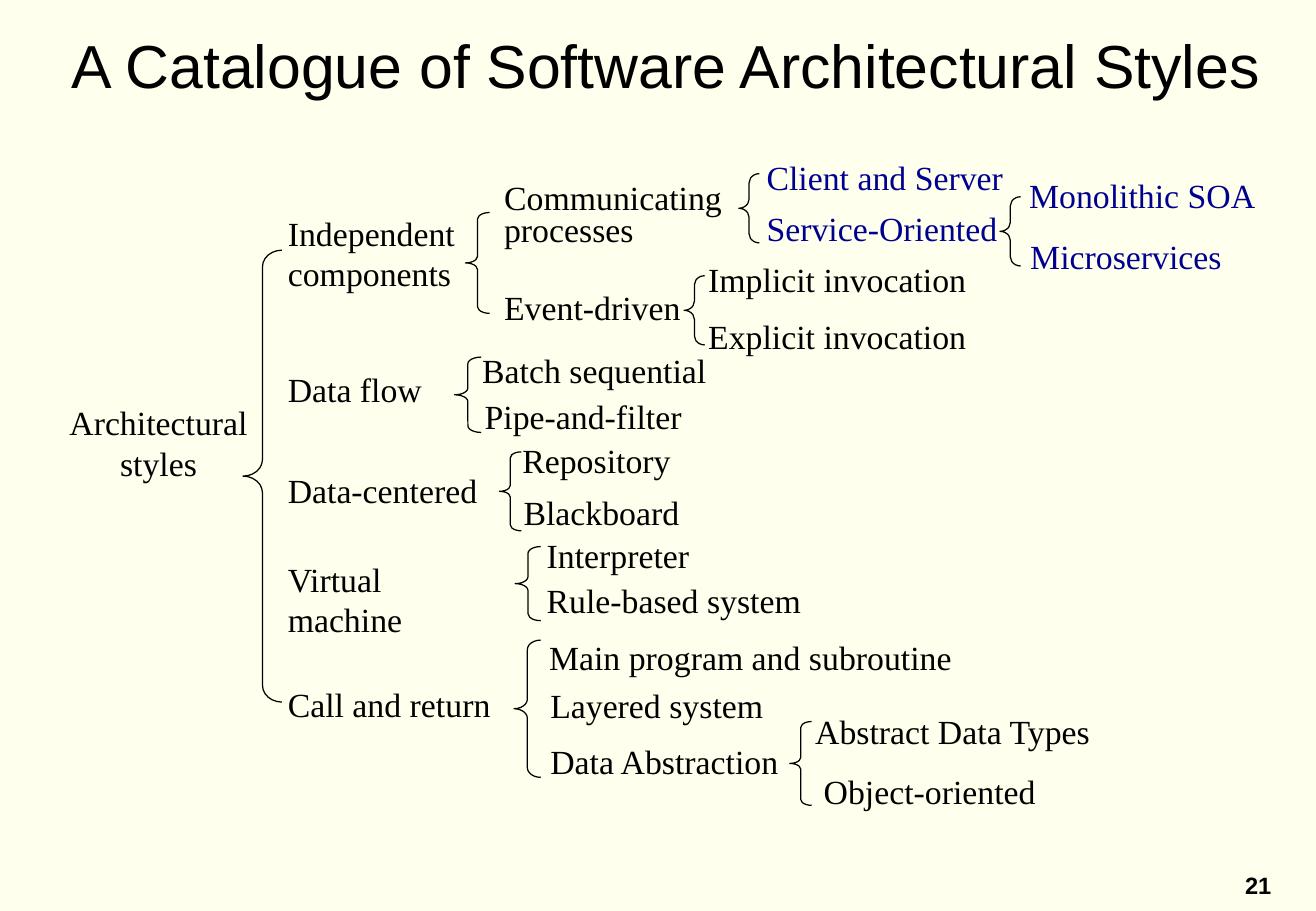
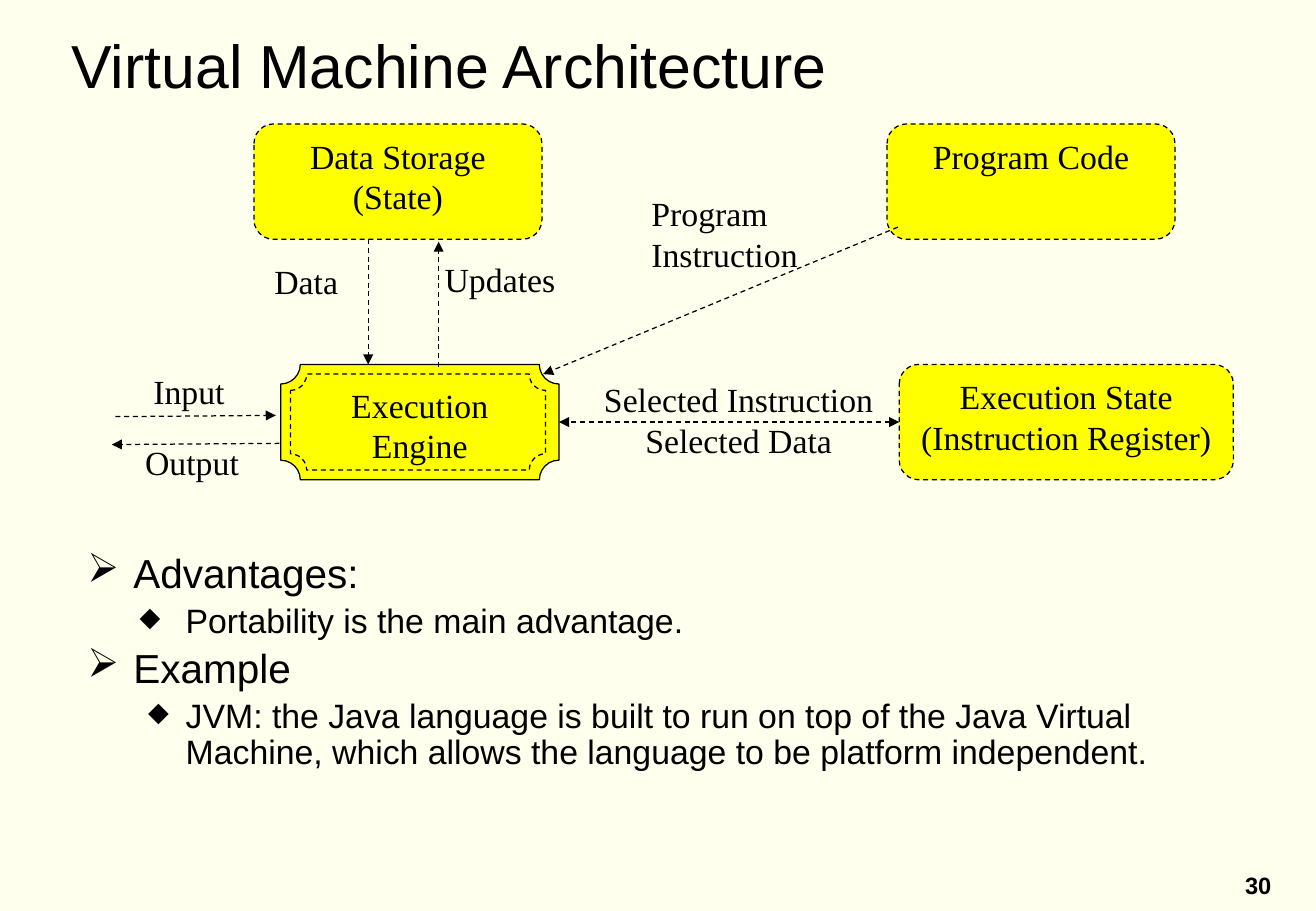
from lxml.etree import SubElement
from pptx import Presentation
from pptx.dml.color import RGBColor
from pptx.enum.dml import MSO_LINE
from pptx.enum.shapes import MSO_CONNECTOR, MSO_SHAPE
from pptx.enum.text import MSO_ANCHOR, PP_ALIGN
from pptx.oxml.ns import qn
from pptx.util import Pt

PX = 9144  # 100 px to the inch
SANS, SERIF = "Arial", "Times New Roman"
BLACK, NAVY, CREAM, YELLOW = "000000", "000090", "FFFFED", "FFFF00"
LEFT, MID = PP_ALIGN.LEFT, PP_ALIGN.CENTER

# Each branch: brace (x, y, w, h, curve), ink, labels (text, x, y, w)
TREE = [
    ((200, 206, 32, 372, 0.43), BLACK, [
        ("Independent components", 227, 170, 182),
        ("Data flow", 227, 299, 146),
        ("Data-centered", 227, 382, 183),
        ("Virtual machine", 227, 455, 190),
        ("Call and return", 227, 558, 188)]),
    ((383, 175, 20, 83, 0.27), BLACK, [
        ("Communicating processes", 405, 147, 219),
        ("Event-driven", 405, 231, 171)]),
    ((374, 294, 22, 62, 0.25), BLACK, [
        ("Batch sequential", 387, 283, 253),
        ("Pipe-and-filter", 389, 321, 215)]),
    ((411, 372, 18, 65, 0.27), BLACK, [
        ("Repository", 420, 357, 215),
        ("Blackboard", 421, 400, 215)]),
    ((424, 450, 21, 61, 0.27), BLACK, [
        ("Interpreter", 440, 435, 215),
        ("Rule-based system", 440, 472, 288)]),
    ((423, 527, 22, 113, 0.36), BLACK, [
        ("Main program and subroutine", 442, 519, 449),
        ("Layered system", 443, 559, 259),
        ("Data Abstraction", 443, 605, 259)]),
    ((563, 227, 17, 57, 0.44), BLACK, [
        ("Implicit invocation", 573, 208, 247),
        ("Explicit invocation", 573, 255, 247)]),
    ((608, 143, 17, 57, 0.44), NAVY, [
        ("Client and Server", 621, 124, 222),
        ("Service-Oriented", 621, 166, 222)]),
    ((823, 162, 17, 57, 0.44), NAVY, [
        ("Monolithic SOA", 837, 139, 222),
        ("Microservices", 838, 189, 232)]),
    ((650, 594, 18, 69, 0.27), BLACK, [
        ("Abstract Data Types", 661, 580, 259),
        ("Object-oriented", 668, 630, 238)]),
]

# Text, level, hanging indent
POINTS = [
    ("Advantages:", 0, 38),
    ("Portability is the main advantage.", 1, 38),
    ("Example", 0, 38),
    ("JVM: the Java language is built to run on top of the Java Virtual "
     "Machine, which allows the language to be platform independent.", 1, 31),
]


def px(*nums):
    return [n * PX for n in nums]


def color(code):
    return RGBColor.from_string(code)


def add_run(par, text, size=20, font=SERIF, ink=BLACK, bold=False):
    run = par.add_run()
    run.text = text
    run.font.size = Pt(size)
    run.font.name = font
    run.font.bold = bold
    run.font.color.rgb = color(ink)


def write(frame, lines, align=LEFT, **style):
    """Fill a text frame from the top, one paragraph a line."""
    frame.word_wrap = True
    frame.vertical_anchor = MSO_ANCHOR.TOP
    for i, line in enumerate(lines):
        par = frame.add_paragraph() if i else frame.paragraphs[0]
        par.alignment = align
        add_run(par, line, **style)


def add_text(slide, box, *lines, inset=True, **style):
    frame = slide.shapes.add_textbox(*px(*box)).text_frame
    if not inset:
        frame.margin_left = frame.margin_right = 0
        frame.margin_top = frame.margin_bottom = 0
    write(frame, lines, **style)
    return frame


def set_line(line, dash):
    line.color.rgb = color(BLACK)
    line.width = Pt(0.75)
    if dash:
        line.dash_style = MSO_LINE.DASH


def add_form(slide, kind, box, *lines, fill=None, dash=False, curve=0.17):
    form = slide.shapes.add_shape(kind, *px(*box))
    form.shadow.inherit = False
    form.adjustments[0] = curve
    if fill:
        form.fill.solid()
        form.fill.fore_color.rgb = color(fill)
    else:
        form.fill.background()
    set_line(form.line, dash)
    if lines:
        write(form.text_frame, lines, align=MID)
    return form


def add_arrow(slide, start, end, both=False):
    arrow = slide.shapes.add_connector(
        MSO_CONNECTOR.STRAIGHT, *px(*start, *end))
    set_line(arrow.line, True)
    props = arrow.element.spPr
    line = props.find(qn("a:ln"))
    for tip in ("a:headEnd", "a:tailEnd") if both else ("a:tailEnd",):
        SubElement(line, qn(tip), type="triangle")
    SubElement(props, qn("a:effectLst"))
    return arrow


def add_points(slide, box):
    frame = slide.shapes.add_textbox(*px(*box)).text_frame
    frame.word_wrap = True
    for i, (text, level, hang) in enumerate(POINTS):
        par = frame.add_paragraph() if i else frame.paragraphs[0]
        size = (24, 20)[level]
        par.level = level
        props = par._p.get_or_add_pPr()
        props.set("marL", str((38, 81)[level] * PX))
        props.set("indent", str(-hang * PX))
        if level:
            SubElement(props, qn("a:buSzPct"), val="80000")
        SubElement(props, qn("a:buChar"), char="➢◆"[level])
        par.line_spacing = 0.9
        if i:
            par.space_before = Pt(size * 0.2)
        add_run(par, text, size, SANS)


def new_slide(deck, title, number):
    slide = deck.slides.add_slide(deck.slide_layouts[6])
    slide.background.fill.solid()
    slide.background.fill.fore_color.rgb = color(CREAM)
    head = add_text(slide, (49, 18, 1008, 70), title, size=36, font=SANS)
    head.vertical_anchor = MSO_ANCHOR.MIDDLE
    add_text(slide, (1010, 712, 51, 33), str(number),
             align=MID, size=14, font=SANS, bold=True)
    return slide


def draw_tree(slide):
    add_text(slide, (44, 326, 173, 80), "Architectural styles", align=MID)
    for (*box, curve), ink, labels in TREE:
        add_form(slide, MSO_SHAPE.LEFT_BRACE, box, curve=curve)
        for text, x, y, w in labels:
            frame = add_text(slide, (x, y, w, 44), text, ink=ink)
            if text.startswith("Communicating"):
                frame.paragraphs[0].line_spacing = 0.8


def draw_engine(slide):
    def store(box, *lines):
        return add_form(slide, MSO_SHAPE.ROUNDED_RECTANGLE, box, *lines,
                        fill=YELLOW, dash=True)

    store((209, 102, 237, 95), "Data Storage", "(State)")
    store((730, 102, 237, 95), "Program Code")
    state = store((740, 300, 275, 95),
                  "Execution State", "(Instruction Register)")
    engine = add_form(slide, MSO_SHAPE.PLAQUE, (231, 300, 229, 95),
                      "Execution Engine", fill=YELLOW)
    add_form(slide, MSO_SHAPE.PLAQUE, (239, 308, 210, 79), dash=True)

    for start, end in [((361, 302), (361, 199)), ((303, 197), (303, 300)),
                       ((739, 187), (447, 308)), ((95, 343), (227, 342)),
                       ((230, 365), (92, 366))]:
        add_arrow(slide, start, end)
    link = add_arrow(slide, (740, 348), (460, 348), both=True)
    link.begin_connect(state, 1)
    link.end_connect(engine, 3)

    for box, *lines in [((115, 305, 81, 40), "Input"),
                        ((109, 364, 98, 37), "Output"),
                        ((209, 215, 86, 67), "Data"),
                        ((353, 213, 117, 67), "Updates"),
                        ((478, 312, 260, 79),
                         "Selected Instruction", "Selected Data")]:
        add_text(slide, box, *lines, inset=False, align=MID)
    add_text(slide, (536, 159, 139, 101), "Program Instruction", inset=False)


def main():
    deck = Presentation()
    deck.slide_width, deck.slide_height = px(1083, 750)
    draw_tree(new_slide(
        deck, "A Catalogue of Software Architectural Styles", 21))
    slide = new_slide(deck, "Virtual Machine Architecture", 30)
    draw_engine(slide)
    add_points(slide, (62, 451, 993, 205))
    deck.save("out.pptx")


if __name__ == "__main__":
    main()
